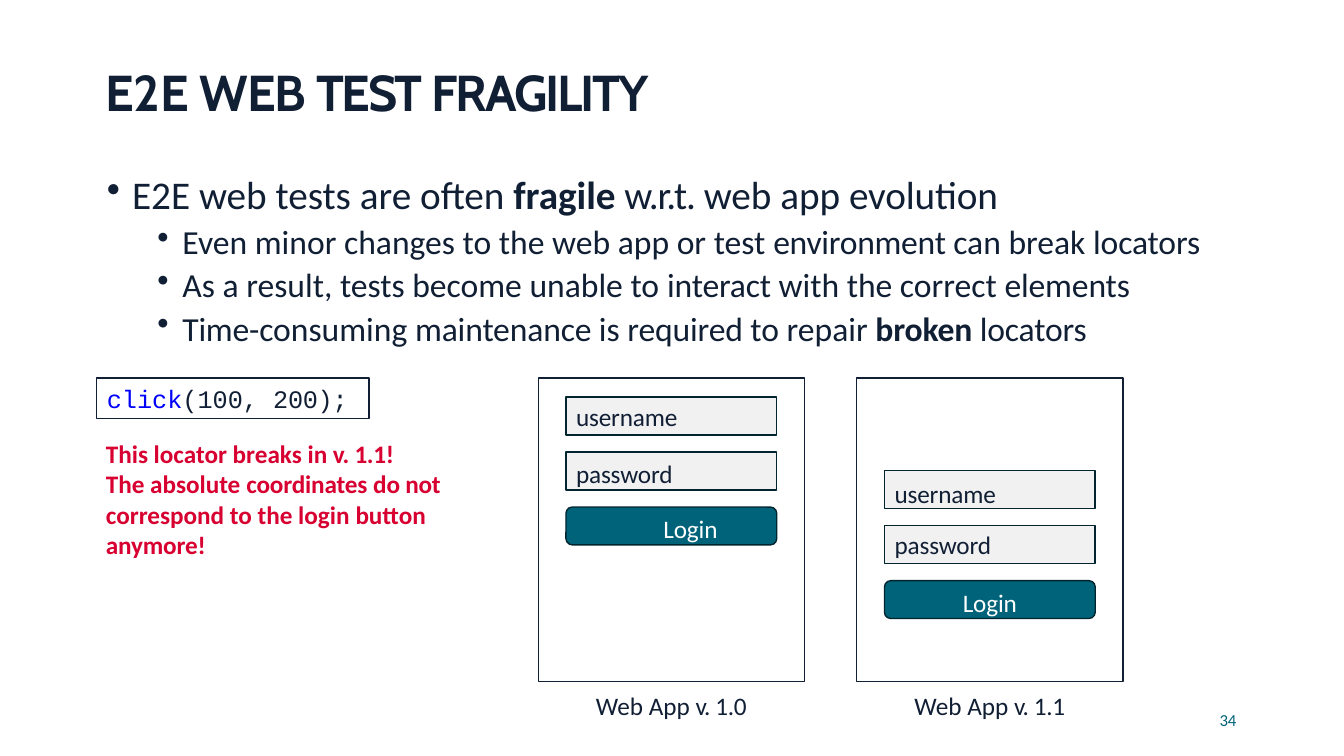
from dataclasses import dataclass

from lxml.etree import SubElement
from pptx import Presentation
from pptx.dml.color import RGBColor
from pptx.enum.shapes import MSO_SHAPE
from pptx.enum.text import MSO_ANCHOR, MSO_AUTO_SIZE, PP_ALIGN
from pptx.oxml.ns import qn
from pptx.util import Emu, Inches, Pt

COLOURS = {
    "ink": "111F35",
    "field": "F1F1F1",
    "button": "006379",
    "edge": "00252F",
    "white": "FFFFFF",
    "code": "0000FC",
    "warning": "D70031",
}
WIDTH, HEIGHT = Inches(13.33), Inches(7.5)

# Shares of the slide's size, in percent
LEFT_MARGIN = 7.88
PANEL_TOP = 50
FRAME_WIDTH, FRAME_HEIGHT = 19.8, 40.13
CONTROL_WIDTH, CONTROL_HEIGHT, CONTROL_PITCH = 15.68, 5, 7.27
CAPTION_TOP = 92
TEXT_INDENT = 0.75


@dataclass(frozen=True)
class Span:
    text: str
    spacing: float = 0
    bold: bool = False
    colour: str = "ink"


@dataclass(frozen=True)
class Bullet:
    spans: tuple[Span, ...]
    level: int = 1
    space_before: float = 0


@dataclass(frozen=True)
class Control:
    label: str
    drop: float = 0
    shift: float = 0
    is_button: bool = False


@dataclass(frozen=True)
class AppVersion:
    number: str
    left: float
    first_control: float
    controls: tuple[Control, ...]


TITLE = (Span("E2E ", -0.4, True), Span("WEB ", -0.7, True),
         Span("TEST ", -1.8, True), Span("FRAGILITY", -1.5, True))

BULLETS = (
    Bullet((Span("E2E web tests are often "), Span("fragile ", bold=True),
            Span("w.r.t. ", -0.8), Span("web app "), Span("evolution", -0.1)), level=0),
    Bullet((Span("Even minor changes to the web app or test "), Span("environment ", -0.2),
            Span("can break "), Span("locators", -0.1)), space_before=2.5),
    Bullet((Span("As a result, tests become unable to "), Span("interact ", -0.1),
            Span("with the correct "), Span("elements", -0.1)), space_before=2.2),
    Bullet((Span("Time-", -0.2), Span("consuming "), Span("maintenance ", -0.1), Span("is "),
            Span("required ", -0.1), Span("to repair "), Span("broken ", -0.1, True),
            Span("locators", -0.1)), space_before=2),
)
LEVEL_SIZES = (28, 24)
LEVEL_INDENTS = (0.26, 0.76)

CODE = (Span("click", colour="code"), Span("(100, "), Span("200);", -0.2))

WARNING = (
    (Span("This locator breaks in", 0, True, "warning"), Span(" v. ", -0.3, True, "warning"),
     Span("1.1!", -0.2, True, "warning")),
    (Span("The absolute ", 0, True, "warning"), Span("coordinates ", -0.1, True, "warning"),
     Span("do", 0, True, "warning"), Span(" not ", -0.2, True, "warning"),
     Span("correspond to the login ", 0, True, "warning"),
     Span("button anymore!", -0.1, True, "warning")),
)

VERSIONS = (
    AppVersion("1.0", 40.05, 52.53, (
        Control("username"), Control("password", 0.67),
        Control("Login", 0.67, shift=2.85, is_button=True))),
    AppVersion("1.1", 63.75, 62.27, (
        Control("username", 0.93), Control("password"),
        Control("Login", 0.67, is_button=True))),
)


def across(share: float) -> Emu:
    return Emu(round(WIDTH * share / 100))


def down(share: float) -> Emu:
    return Emu(round(HEIGHT * share / 100))


def rgb(name: str) -> RGBColor:
    return RGBColor.from_string(COLOURS[name])


def write(para, spans: tuple[Span, ...], size: float, face: str = "Calibri") -> None:
    for span in spans:
        run = para.add_run()
        run.text = span.text
        run.font.name = face
        run.font.size = Pt(size)
        run.font.bold = span.bold
        run.font.color.rgb = rgb(span.colour)
        if span.spacing:
            run._r.get_or_add_rPr().set("spc", str(round(span.spacing * 100)))


def clear_frame(frame, anchor=MSO_ANCHOR.TOP) -> None:
    frame.margin_left = frame.margin_top = frame.margin_right = frame.margin_bottom = 0
    frame.word_wrap = True
    frame.auto_size = MSO_AUTO_SIZE.NONE
    frame.vertical_anchor = anchor


def add_text(page, left: float, top: float, width: float, height: float):
    box = page.shapes.add_textbox(across(left), down(top), across(width), down(height))
    clear_frame(box.text_frame)
    return box.text_frame


def add_block(page, kind, left: float, top: float, width: float, height: float,
              fill: str | None = None, edge: str = "ink"):
    block = page.shapes.add_shape(kind, across(left), down(top), across(width), down(height))
    block.shadow.inherit = False
    if fill:
        block.fill.solid()
        block.fill.fore_color.rgb = rgb(fill)
    else:
        block.fill.background()
    block.line.color.rgb = rgb(edge)
    block.line.width = Pt(1)
    clear_frame(block.text_frame, MSO_ANCHOR.MIDDLE)
    block.text_frame.paragraphs[0].alignment = PP_ALIGN.LEFT
    return block


def add_bullet_mark(para, level: int) -> None:
    properties = para._p.get_or_add_pPr()
    properties.set("lvl", str(level))
    properties.set("marL", str(Inches(LEVEL_INDENTS[level])))
    properties.set("indent", str(Inches(-0.25)))
    SubElement(properties, qn("a:buChar")).set("char", "•")


def add_app(page, app: AppVersion) -> None:
    add_block(page, MSO_SHAPE.RECTANGLE, app.left, PANEL_TOP, FRAME_WIDTH, FRAME_HEIGHT)
    control_left = app.left + (FRAME_WIDTH - CONTROL_WIDTH) / 2
    for row, control in enumerate(app.controls):
        kind = MSO_SHAPE.ROUNDED_RECTANGLE if control.is_button else MSO_SHAPE.RECTANGLE
        block = add_block(page, kind, control_left, app.first_control + row * CONTROL_PITCH,
                          CONTROL_WIDTH, CONTROL_HEIGHT,
                          "button" if control.is_button else "field", "edge")
        frame = block.text_frame
        frame.margin_top = down(control.drop)
        frame.margin_left = across(control.shift if control.is_button else TEXT_INDENT)
        para = frame.paragraphs[0]
        para.alignment = PP_ALIGN.CENTER if control.is_button else PP_ALIGN.LEFT
        colour = "white" if control.is_button else "ink"
        write(para, (Span(control.label, -0.1, colour=colour),), 18)

    caption = add_text(page, app.left, CAPTION_TOP, FRAME_WIDTH, 3.73).paragraphs[0]
    caption.alignment = PP_ALIGN.CENTER
    caption.line_spacing = Pt(18.1)
    write(caption, (Span("Web App "), Span("v. ", -0.6), Span(app.number, -0.2)), 18)


def main() -> None:
    deck = Presentation()
    deck.slide_width, deck.slide_height = WIDTH, HEIGHT
    page = deck.slides.add_slide(deck.slide_layouts[5])

    # Title
    title = page.shapes.title
    title.left, title.top = across(LEFT_MARGIN), down(8.13)
    title.width, title.height = across(85.43), down(8.4)
    clear_frame(title.text_frame)
    heading = title.text_frame.paragraphs[0]
    heading.alignment = PP_ALIGN.LEFT
    write(heading, TITLE, 36, "Cabin")

    # Bullet list
    body = add_text(page, LEFT_MARGIN, 22.53, 81.83, 23.73)
    for index, bullet in enumerate(BULLETS):
        para = body.add_paragraph() if index else body.paragraphs[0]
        add_bullet_mark(para, bullet.level)
        para.space_before = Pt(bullet.space_before)
        write(para, bullet.spans, LEVEL_SIZES[bullet.level])

    # Locator code and warning
    code = add_block(page, MSO_SHAPE.RECTANGLE, 7.2, PANEL_TOP, 20.25, 5.33).text_frame
    code.margin_left = across(TEXT_INDENT)
    write(code.paragraphs[0], CODE, 18, "Courier New")
    warning = add_text(page, LEFT_MARGIN, 58, 25.4, 16.4)
    for index, spans in enumerate(WARNING):
        write(warning.add_paragraph() if index else warning.paragraphs[0], spans, 18)

    # The two versions of the web app
    for app in VERSIONS:
        add_app(page, app)

    # Page number
    number = add_text(page, 90.75, 94.27, 1.75, 2.53).paragraphs[0]
    number.line_spacing = Pt(12.4)
    write(number, (Span("34", -0.2, colour="button"),), 12)

    deck.save("out.pptx")


if __name__ == "__main__":
    main()
